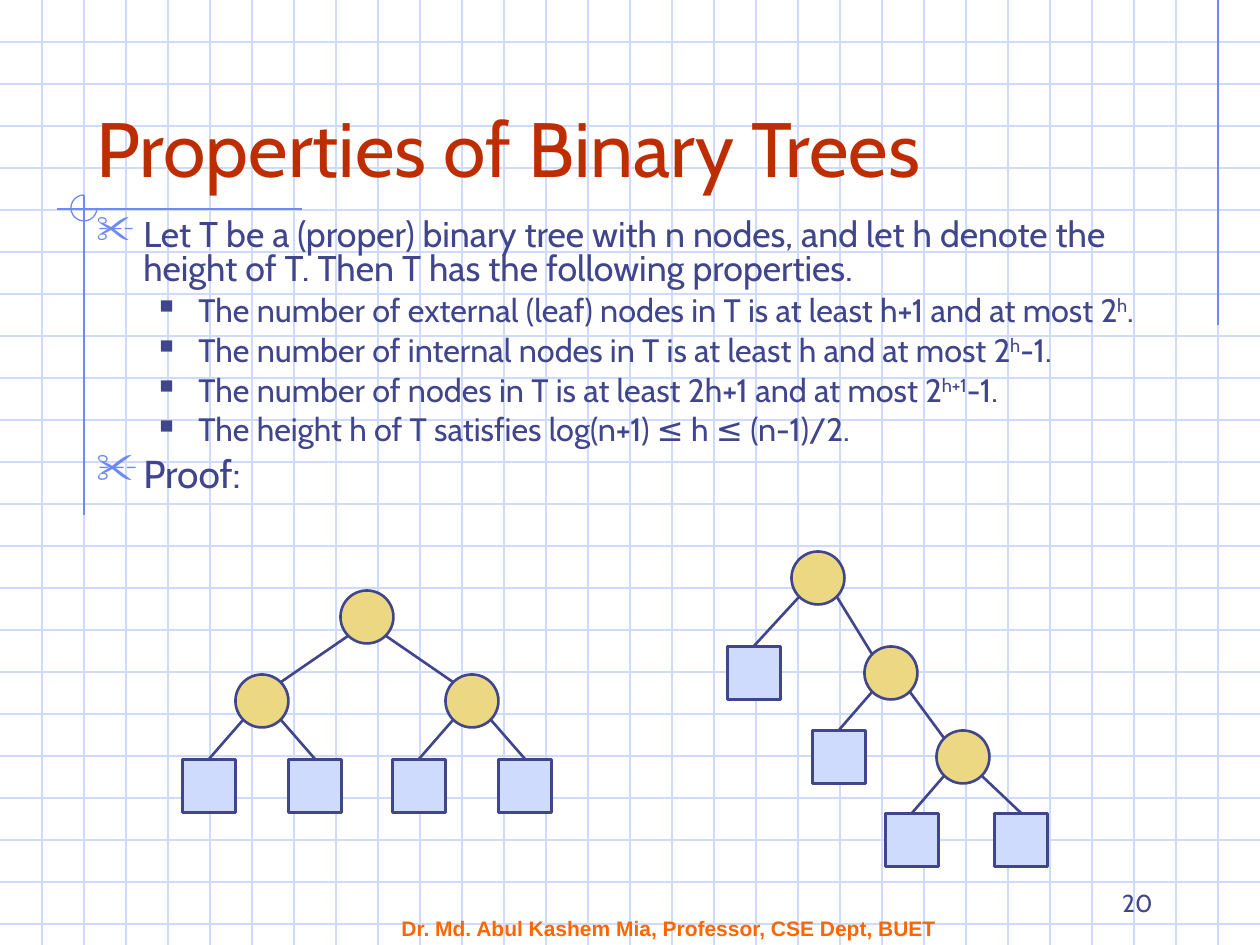
from lxml import etree
from pptx import Presentation
from pptx import util as u
from pptx.dml.color import RGBColor
from pptx.enum import shapes, text
from pptx.oxml import ns

PX = 914400 / 126
NAVY, BLUE, PALE, GOLD = "40458C", "6F89F7", "CFDBFD", "ECD882"


def px(*vals):
    return [u.Emu(round(v * PX)) for v in vals]


def hue(code):
    return RGBColor.from_string(code)


deck = Presentation()
deck.slide_width, deck.slide_height = px(1260, 945)
slide = deck.slides.add_slide(deck.slide_layouts[6])
draw = slide.shapes

lines = [(0, y, 1260, y, PALE, 0.75) for y in range(42, 945, 42)]
lines += [(x, 0, x, 945, PALE, 0.75) for x in range(42, 1260, 42)]
lines += [
    (1218, 0, 1218, 325, BLUE, 0.75),
    (302, 209, 57, 209, BLUE, 0.75),
    (84, 195, 84, 515, BLUE, 0.75),
]

trees = [
    {
        "root": (367, 617, "", GOLD),
        "left": (262, 701, "root", GOLD),
        "right": (472, 701, "root", GOLD),
        "leaf 1": (209, 786, "left", PALE),
        "leaf 2": (315, 786, "left", PALE),
        "leaf 3": (419, 786, "right", PALE),
        "leaf 4": (525, 786, "right", PALE),
    },
    {
        "root": (818, 578, "", GOLD),
        "mid": (891, 673, "root", GOLD),
        "low": (963, 757, "mid", GOLD),
        "leaf 1": (754, 673, "root", PALE),
        "leaf 2": (839, 757, "mid", PALE),
        "leaf 3": (912, 840, "low", PALE),
        "leaf 4": (1021, 840, "low", PALE),
    },
]
SIZE, HALF, EDGE = 53, 26.5, 19
nodes = []
for tree in trees:
    for x, y, top, fill in tree.values():
        nodes.append((x, y, fill))
        if top:
            px_x, px_y = tree[top][:2]
            side = 1 if x > px_x else -1
            start = (px_x + side * EDGE, px_y + EDGE)
            if fill == GOLD:
                end = (x - side * EDGE, y - EDGE)
            else:
                end = (x, y - 27)
            lines.append((*start, *end, NAVY, 1.5))

for x1, y1, x2, y2, tint, wide in lines:
    line = draw.add_connector(shapes.MSO_CONNECTOR.STRAIGHT, *px(x1, y1, x2, y2))
    line.line.color.rgb = hue(tint)
    line.line.width = u.Pt(wide)
    etree.SubElement(line._element.spPr, ns.qn("a:effectLst"))

arc = draw.add_shape(shapes.MSO_SHAPE.ARC, *px(71, 195, 26, 26))
arc.adjustments[0], arc.adjustments[1] = 0, 162
arc.shadow.inherit = False
arc.fill.background()
arc.line.color.rgb = hue(BLUE)
arc.line.width = u.Pt(0.75)

for x, y, fill in nodes:
    kind = shapes.MSO_SHAPE.OVAL if fill == GOLD else shapes.MSO_SHAPE.RECTANGLE
    node = draw.add_shape(kind, *px(x - HALF, y - HALF, SIZE, SIZE))
    node.shadow.inherit = False
    node.fill.solid()
    node.fill.fore_color.rgb = hue(fill)
    node.line.color.rgb = hue(NAVY)
    node.line.width = u.Pt(1.5)

LEFT, RIGHT = text.PP_ALIGN.LEFT, text.PP_ALIGN.RIGHT
LOW, MID = text.MSO_ANCHOR.BOTTOM, text.MSO_ANCHOR.MIDDLE
labels = [
    ((389, 917, 588, 23), "Dr. Md. Abul Kashem Mia, Professor, CSE Dept, BUET",
     12, "Arial", "FF6600", LEFT, MID),
    ((903, 861, 262, 63), "20", 14, "Cabin", NAVY, RIGHT, LOW),
    ((84, 42, 1071, 157), "Properties of Binary Trees", 44, "Cabin", "BE2D00", LEFT, LOW),
]
for spot, words, size, face, tint, side, hold in labels:
    frame = draw.add_textbox(*px(*spot)).text_frame
    frame.word_wrap = True
    frame.vertical_anchor = hold
    para = frame.paragraphs[0]
    para.alignment = side
    run = para.add_run()
    run.text = words
    run.font.size, run.font.name = u.Pt(size), face
    run.font.bold = face == "Arial"
    run.font.color.rgb = hue(tint)

points = [
    (0, 20.4, 5.5, ["Let T be a (proper) binary tree with n nodes, and let h denote the "
                    "height of T. Then T has the following properties."]),
    (1, 18.5, 5, ["The number of external (leaf) nodes in T is at least h+1 and at most 2",
                  "h", "."]),
    (1, 18.5, 5, ["The number of internal nodes in T is at least h and at most 2", "h", "-1."]),
    (1, 18.5, 5, ["The number of nodes in T is at least 2h+1 and at most 2", "h+1", "-1."]),
    (1, 18.5, 5, ["The height h of T satisfies log(n+1) ≤ h ≤ (n-1)/2."]),
    (0, 22.2, 6, ["Proof:"]),
]
marks = [("✂", BLUE, 110, 47, 47), ("■", NAVY, 60, 102, 39)]

body = draw.add_textbox(*px(84, 214, 1131, 401)).text_frame
body.word_wrap = True
for i, (level, size, gap, parts) in enumerate(points):
    para = body.add_paragraph() if i else body.paragraphs[0]
    para.level = level
    para.line_spacing = 0.8
    para.space_before = u.Pt(gap)
    sign, tint, scale, margin, hang = marks[level]
    props = para._p.get_or_add_pPr()
    props.set("marL", str(px(margin)[0]))
    props.set("indent", str(px(-hang)[0]))
    color = etree.SubElement(props, ns.qn("a:buClr"))
    etree.SubElement(color, ns.qn("a:srgbClr"), val=tint)
    etree.SubElement(props, ns.qn("a:buSzPct"), val=str(scale * 1000))
    etree.SubElement(props, ns.qn("a:buChar"), char=sign)
    for j, words in enumerate(parts):
        run = para.add_run()
        run.text = words
        run.font.size, run.font.name = u.Pt(size), "Cabin"
        run.font.color.rgb = hue(NAVY)
        if j == 1:
            run.font._element.set("baseline", "30000")

deck.save("out.pptx")
